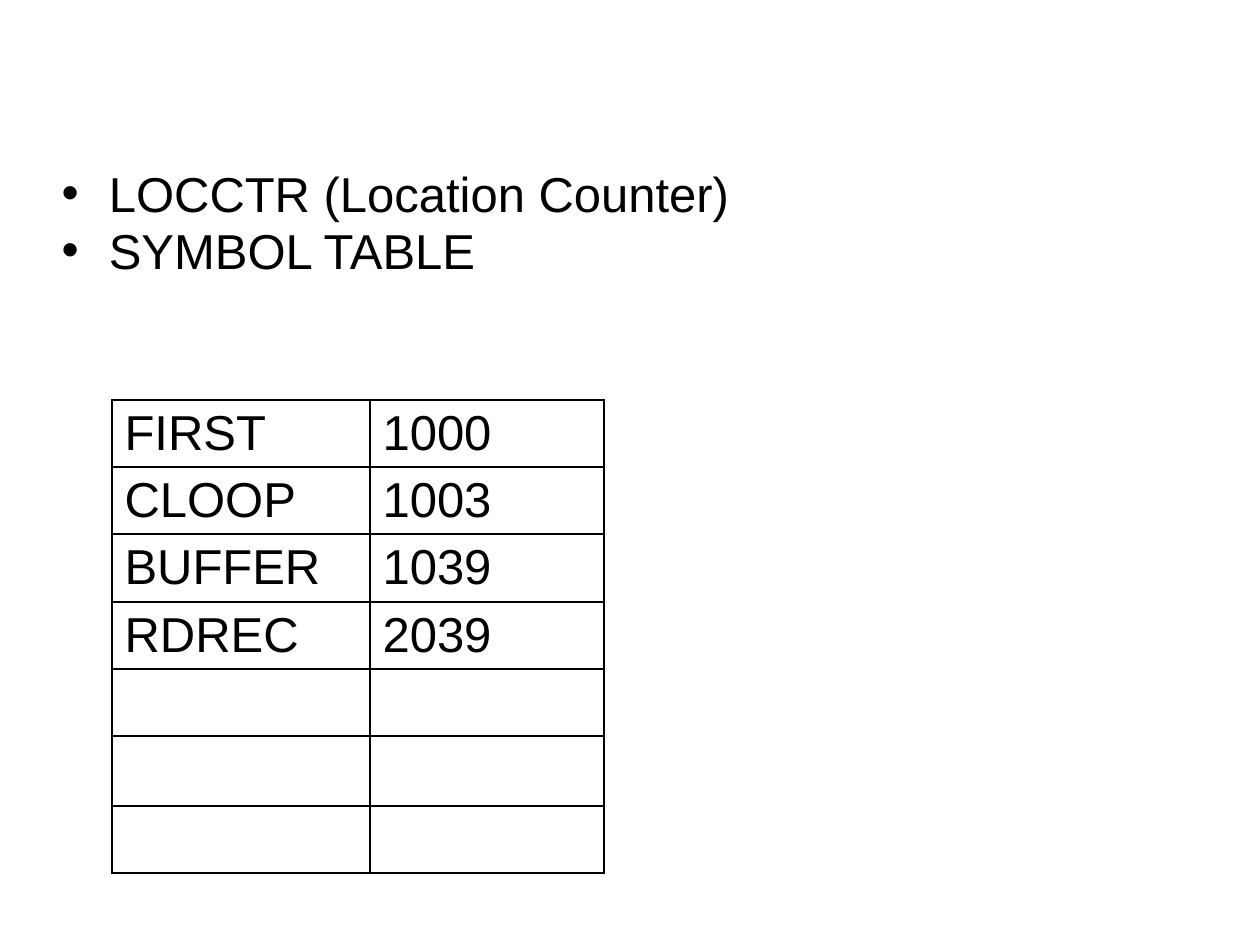
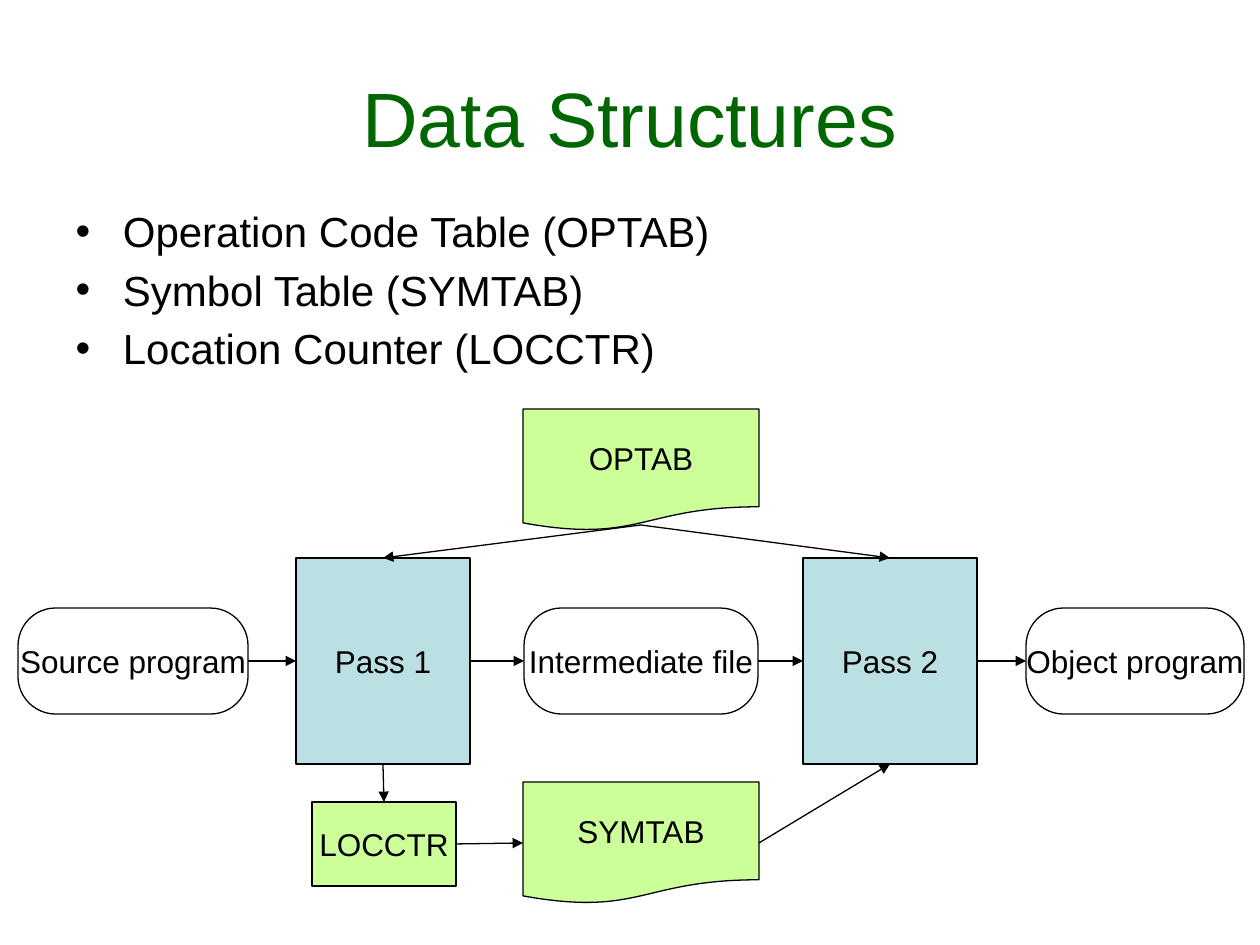
"""Build two slides on assembler data structures: a symbol table and a two-pass diagram."""
import dataclasses

import pptx
import pptx.dml.color
import pptx.enum.shapes
import pptx.enum.text
import pptx.oxml
import pptx.oxml.ns
import pptx.util


@dataclasses.dataclass(frozen=True)
class Theme:
    font: str = "Arial"
    ink: str = "000000"
    heading: str = "006600"
    process: str = "BBE0E3"
    data: str = "CCFF99"
    heading_size: int = 44
    large_size: int = 28
    list_size: int = 24
    label_size: int = 18
    line_width: float = 0.75


theme = Theme()
PX = 914400 / 126
NS = pptx.oxml.ns.nsdecls("a")
CENTER = pptx.enum.text.PP_ALIGN.CENTER


def px(*lengths):
    return [pptx.util.Emu(round(length * PX)) for length in lengths]


def write(frame, lines, size, color=theme.ink, line_spacing=None, alignment=None):
    frame.text = "\n".join(lines)
    for paragraph in frame.paragraphs:
        paragraph.font.name = theme.font
        paragraph.font.size = pptx.util.Pt(size)
        paragraph.font.color.rgb = pptx.dml.color.RGBColor.from_string(color)
        paragraph.alignment = alignment
        if line_spacing:
            paragraph.line_spacing = line_spacing


deck = pptx.Presentation()
deck.slide_width, deck.slide_height = px(1260, 945)
content_layout = deck.slide_layouts[1]

symbol_slide = deck.slides.add_slide(content_layout)
structure_slide = deck.slides.add_slide(content_layout)
unused_title = symbol_slide.shapes.title._element
unused_title.getparent().remove(unused_title)

heading = structure_slide.shapes.title
heading.left, heading.top, heading.width, heading.height = px(63, 38, 1134, 158)
write(heading.text_frame, ["Data Structures"], theme.heading_size, theme.heading,
      alignment=CENTER)

topic_lists = [
    (symbol_slide, (49, 169, 1134, 114), theme.large_size, 0.8,
     ["LOCCTR (Location Counter)", "SYMBOL TABLE"]),
    (structure_slide, (63, 199, 1134, 185), theme.list_size, None,
     ["Operation Code Table (OPTAB)", "Symbol Table (SYMTAB)", "Location Counter (LOCCTR)"]),
]
for slide, box, size, spacing, topics in topic_lists:
    body = slide.placeholders[1]
    body.left, body.top, body.width, body.height = px(*box)
    body.text_frame.auto_size = pptx.enum.text.MSO_AUTO_SIZE.NONE
    write(body.text_frame, topics, size, line_spacing=spacing)

symbols = [("FIRST", "1000"), ("CLOOP", "1003"), ("BUFFER", "1039"), ("RDREC", "2039")]
symbols += [("", "")] * 3
symbol_table = symbol_slide.shapes.add_table(len(symbols), 2, *px(112, 400, 492, 473)).table
symbol_table.first_row = symbol_table.horz_banding = False
for column, width in zip(symbol_table.columns, px(258, 234)):
    column.width = width
for row, height, entry in zip(symbol_table.rows, px(67, 67, 68, 67, 67, 70, 67), symbols):
    row.height = height
    for cell, value in zip(row.cells, entry):
        write(cell.text_frame, [value], theme.large_size)
        cell.margin_top, cell.margin_bottom = px(6, 4)
        properties = cell._tc.get_or_add_tcPr()
        for side in ("lnL", "lnR", "lnT", "lnB"):
            properties.append(pptx.oxml.parse_xml(
                f'<a:{side} {NS} w="12700"><a:solidFill><a:srgbClr val="{theme.ink}"/>'
                f'</a:solidFill></a:{side}>'))
        cell.fill.background()

kinds = pptx.enum.shapes.MSO_SHAPE
stages = [
    ("Pass 1", kinds.RECTANGLE, theme.process, (296, 558, 174, 206)),
    ("Pass 2", kinds.RECTANGLE, theme.process, (803, 558, 174, 206)),
    ("Intermediate file", kinds.ROUNDED_RECTANGLE, None, (524, 608, 234, 106)),
    ("Object program", kinds.ROUNDED_RECTANGLE, None, (1026, 608, 218, 106)),
    ("Source program", kinds.ROUNDED_RECTANGLE, None, (18, 608, 230, 106)),
    ("OPTAB", kinds.FLOWCHART_DOCUMENT, theme.data, (523, 409, 236, 122)),
    ("SYMTAB", kinds.FLOWCHART_DOCUMENT, theme.data, (523, 782, 236, 122)),
    ("LOCCTR", kinds.RECTANGLE, theme.data, (312, 802, 144, 84)),
]
diagram = {}
for label, kind, fill, box in stages:
    stage = structure_slide.shapes.add_shape(kind, *px(*box))
    stage.shadow.inherit = False
    if kind == kinds.ROUNDED_RECTANGLE:
        stage.adjustments[0] = 0.355
    if fill:
        stage.fill.solid()
        stage.fill.fore_color.rgb = pptx.dml.color.RGBColor.from_string(fill)
    else:
        stage.fill.background()
    stage.line.color.rgb = pptx.dml.color.RGBColor.from_string(theme.ink)
    stage.line.width = pptx.util.Pt(theme.line_width)
    stage.text_frame.word_wrap = False
    stage.text_frame.margin_left = stage.text_frame.margin_right = 0
    write(stage.text_frame, [label], theme.label_size, alignment=CENTER)
    diagram[label] = stage

TOP, LEFT, BOTTOM, RIGHT = range(4)
flows = [
    ("Source program", RIGHT, "Pass 1", LEFT),
    ("Pass 1", RIGHT, "Intermediate file", LEFT),
    ("Intermediate file", RIGHT, "Pass 2", LEFT),
    ("Pass 2", RIGHT, "Object program", LEFT),
    ("LOCCTR", RIGHT, "SYMTAB", LEFT),
    ("Pass 1", BOTTOM, "LOCCTR", TOP),
    ("OPTAB", BOTTOM, "Pass 1", TOP),
    ("OPTAB", BOTTOM, "Pass 2", TOP),
    ("SYMTAB", RIGHT, "Pass 2", BOTTOM),
]
for source, source_side, target, target_side in flows:
    flow = structure_slide.shapes.add_connector(
        pptx.enum.shapes.MSO_CONNECTOR.STRAIGHT, 0, 0, 0, 0)
    flow.begin_connect(diagram[source], source_side)
    flow.end_connect(diagram[target], target_side)
    if source == "OPTAB":
        flow.begin_y = px(525)[0]
    flow.line.color.rgb = pptx.dml.color.RGBColor.from_string(theme.ink)
    flow.line.width = pptx.util.Pt(theme.line_width)
    flow.line._get_or_add_ln().append(pptx.oxml.parse_xml(f'<a:tailEnd {NS} type="triangle"/>'))
    flow._element.spPr.append(pptx.oxml.parse_xml(f"<a:effectLst {NS}/>"))

deck.save("out.pptx")
